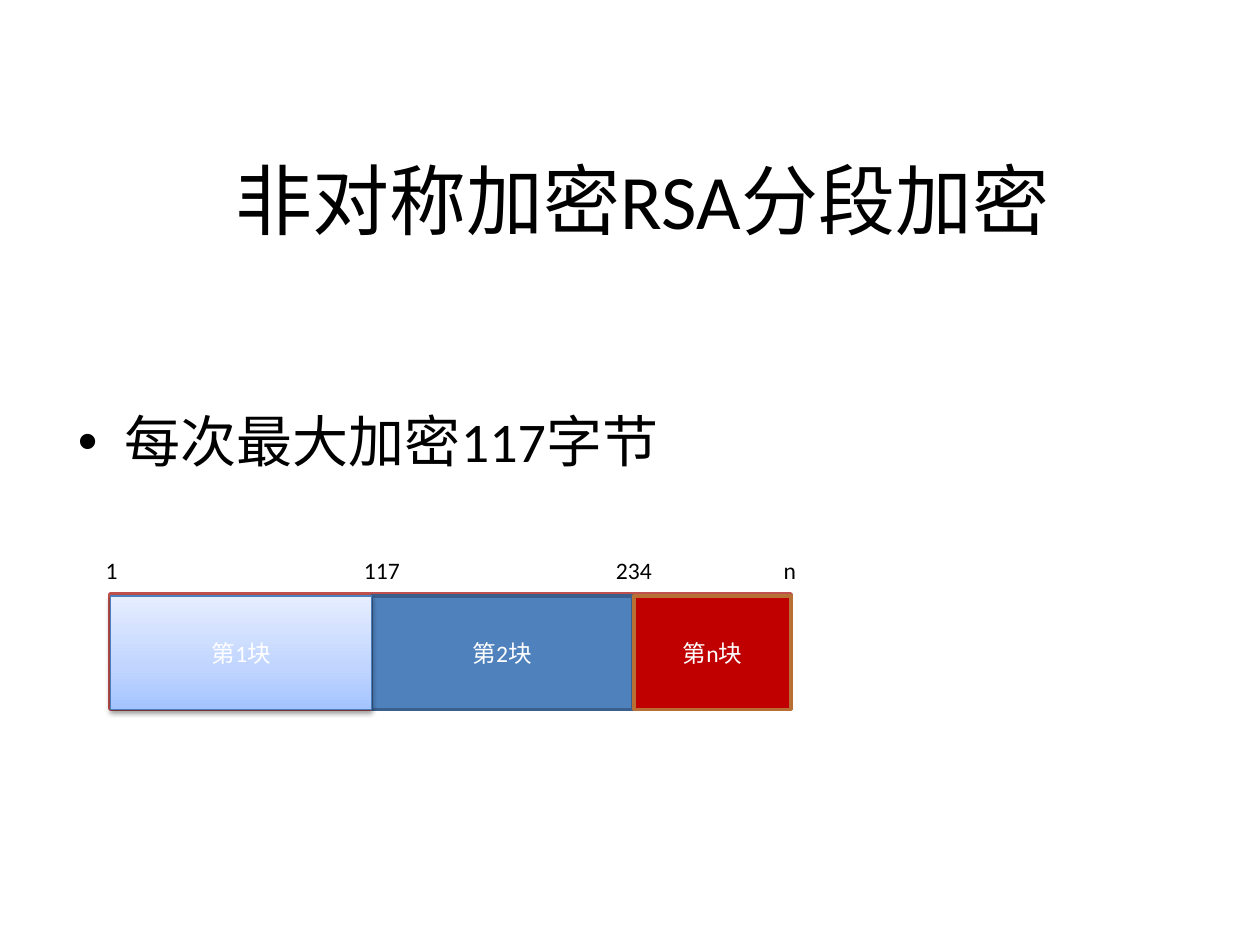
from dataclasses import dataclass

from lxml.etree import SubElement
from pptx import Presentation
from pptx.dml.color import RGBColor
from pptx.enum.shapes import MSO_SHAPE
from pptx.enum.text import MSO_ANCHOR, MSO_AUTO_SIZE, PP_ALIGN
from pptx.oxml import parse_xml
from pptx.oxml.ns import nsdecls, qn
from pptx.util import Emu, Pt

PX = 9144


@dataclass(frozen=True)
class Theme:
    font: str = "Calibri"
    title_size: float = 44
    body_size: float = 32
    label_size: float = 13.5
    text: str = "000000"
    block_text: str = "FFFFFF"
    shadow: str = "000000"
    frame_fill: str = "D9D9D9"
    frame_line: str = "C0504D"
    first_line: str = "4B7EBC"
    second_fill: str = "4F81BD"
    second_line: str = "3A5F8C"
    last_fill: str = "C00000"
    last_line: str = "B76F34"
    first_stops: tuple = ((0, "A4C4FF"), (35, "BFD4FF"), (100, "E6EEFF"))


@dataclass(frozen=True)
class Box:
    x: int
    y: int
    w: int
    h: int

    def emu(self) -> list[Emu]:
        return [Emu(v * PX) for v in (self.x, self.y, self.w, self.h)]


@dataclass(frozen=True)
class Block:
    text: str
    box: Box
    fill: str | tuple
    line: str
    weight: float


@dataclass(frozen=True)
class Mark:
    text: str
    x: int
    w: int = 52


THEME = Theme()
BLOCK_TOP, BLOCK_H, BLOCK_W = 473, 90, 207
LEFT = 88
MARK_TOP, MARK_H = 436, 33

BLOCKS = [
    Block("", Box(LEFT, BLOCK_TOP - 1, 539, BLOCK_H),
          THEME.frame_fill, THEME.frame_line, 3),
    Block("第2块", Box(LEFT + BLOCK_W, BLOCK_TOP, BLOCK_W, BLOCK_H),
          THEME.second_fill, THEME.second_line, 2),
    Block("第1块", Box(LEFT, BLOCK_TOP, BLOCK_W, BLOCK_H),
          THEME.first_stops, THEME.first_line, 0.75),
    Block("第n块", Box(LEFT + 2 * BLOCK_W + 1, BLOCK_TOP, 125, BLOCK_H),
          THEME.last_fill, THEME.last_line, 2),
]
MARKS = [Mark("117", 279), Mark("1", 74, 66), Mark("234", 479), Mark("n", 612)]


def write(tf, text: str, size: float, color: str, align=PP_ALIGN.LEFT):
    tf.text = text
    p = tf.paragraphs[0]
    p.alignment = align
    for r in p.runs:
        r.font.name = THEME.font
        r.font.size = Pt(size)
        r.font.color.rgb = RGBColor.from_string(color)
    return p


def add_text(s, box: Box, text: str, size: float, align=PP_ALIGN.LEFT):
    sp = s.shapes.add_textbox(*box.emu())
    tf = sp.text_frame
    tf.word_wrap = True
    write(tf, text, size, THEME.text, align)
    return tf


def set_bullet(p, indent: int) -> None:
    pPr = p._p.get_or_add_pPr()
    pPr.set("marL", str(indent * PX))
    pPr.set("indent", str(-indent * PX))
    SubElement(pPr, qn("a:buFont"), typeface="Arial")
    SubElement(pPr, qn("a:buChar"), char="•")


def set_gradient(sp, stops: tuple) -> None:
    gs = "".join(f'<a:gs pos="{pos * 1000}"><a:srgbClr val="{color}"/></a:gs>'
                 for pos, color in stops)
    spPr = sp._element.spPr
    spPr.find(qn("a:prstGeom")).addnext(parse_xml(
        f'<a:gradFill {nsdecls("a")} rotWithShape="1"><a:gsLst>{gs}</a:gsLst>'
        '<a:lin ang="16200000" scaled="0"/></a:gradFill>'))


def set_shadow(sp) -> None:
    effects = sp._element.spPr.find(qn("a:effectLst"))
    effects.append(parse_xml(
        f'<a:outerShdw {nsdecls("a")} blurRad="{Pt(3.1)}" dist="{Pt(1.6)}" '
        f'dir="5400000" rotWithShape="0"><a:srgbClr val="{THEME.shadow}">'
        '<a:alpha val="38000"/></a:srgbClr></a:outerShdw>'))


def add_block(s, block: Block) -> None:
    sp = s.shapes.add_shape(MSO_SHAPE.RECTANGLE, *block.box.emu())
    sp.shadow.inherit = False
    if isinstance(block.fill, tuple):
        set_gradient(sp, block.fill)
        set_shadow(sp)
    else:
        sp.fill.solid()
        sp.fill.fore_color.rgb = RGBColor.from_string(block.fill)
    sp.line.color.rgb = RGBColor.from_string(block.line)
    sp.line.width = Pt(block.weight)
    if block.text:
        sp.text_frame.vertical_anchor = MSO_ANCHOR.MIDDLE
        write(sp.text_frame, block.text, THEME.label_size,
              THEME.block_text, PP_ALIGN.CENTER)


def add_mark(s, mark: Mark) -> None:
    tf = add_text(s, Box(mark.x, MARK_TOP, mark.w, MARK_H),
                  mark.text, THEME.label_size)
    tf.auto_size = MSO_AUTO_SIZE.SHAPE_TO_FIT_TEXT


def main() -> None:
    prs = Presentation()
    prs.slide_width, prs.slide_height = Emu(1000 * PX), Emu(750 * PX)
    s = prs.slides.add_slide(prs.slide_layouts[6])

    title = add_text(s, Box(60, 95, 900, 125), "非对称加密RSA分段加密",
                     THEME.title_size, PP_ALIGN.CENTER)
    title.vertical_anchor = MSO_ANCHOR.MIDDLE

    body = add_text(s, Box(52, 255, 900, 495), "每次最大加密117字节",
                    THEME.body_size)
    body.margin_top = Emu(68 * PX)
    set_bullet(body.paragraphs[0], 37)

    frame, second, first, last = BLOCKS
    for block in (frame, second):
        add_block(s, block)
    for mark in MARKS:
        add_mark(s, mark)
    for block in (first, last):
        add_block(s, block)

    prs.save("out.pptx")


if __name__ == "__main__":
    main()
